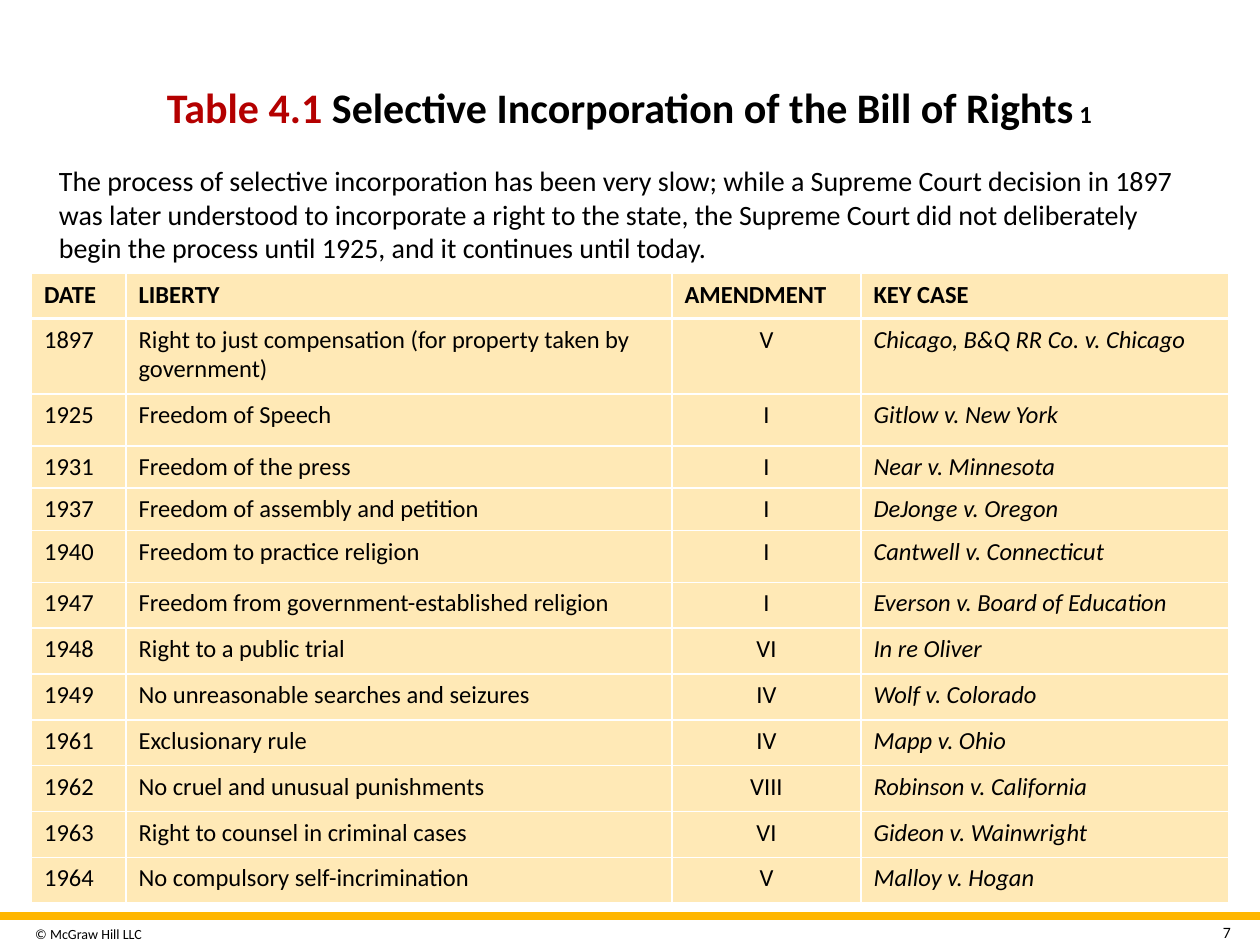
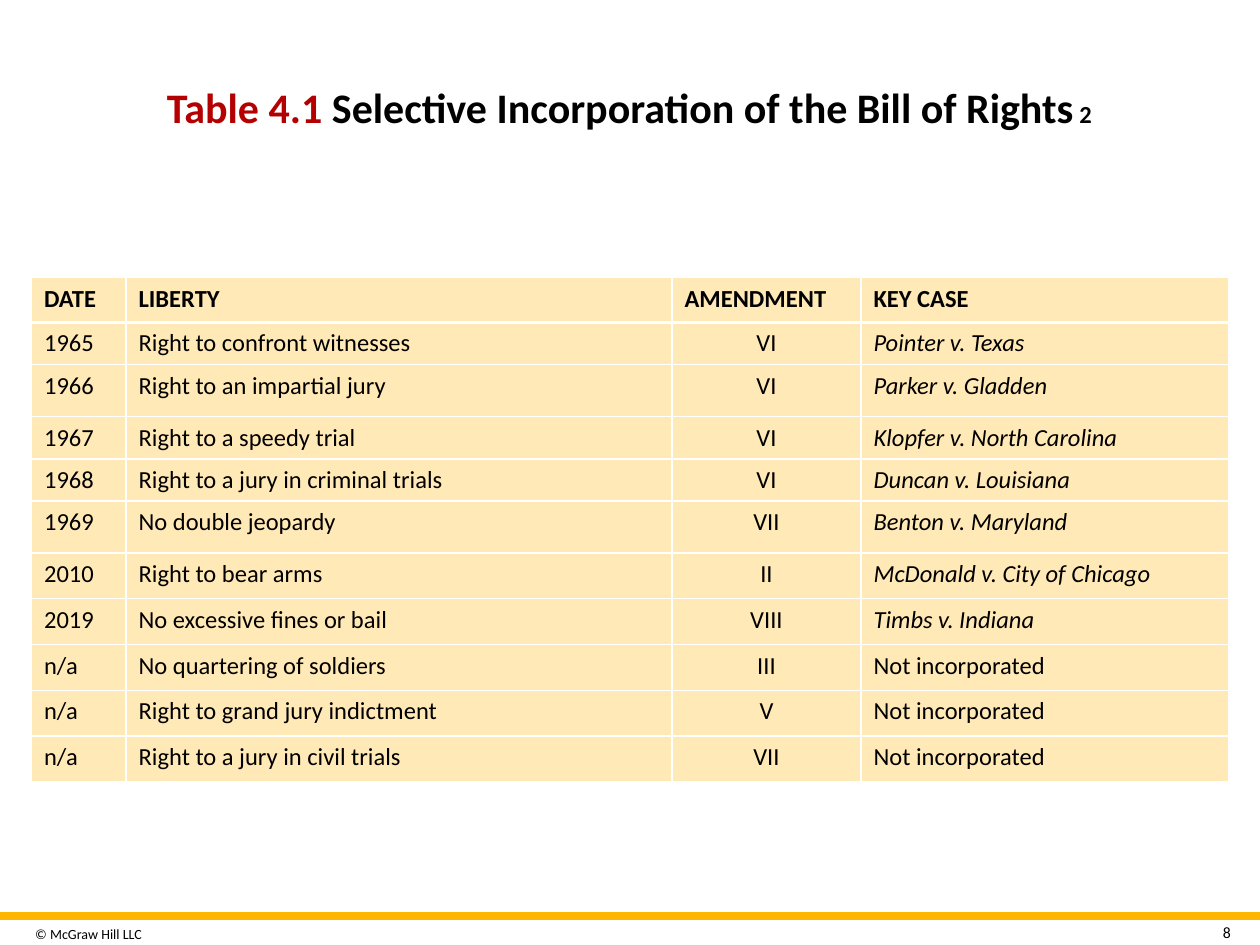
"""Build the two-slide table of the selective incorporation of the Bill of Rights."""
from pptx import Presentation
from pptx.dml.color import RGBColor
from pptx.enum import shapes, text
from pptx.oxml import parse_xml
from pptx.oxml import ns
from pptx.util import Pt

BLACK = RGBColor(0x00, 0x00, 0x00)
RED = RGBColor(0xB4, 0x00, 0x00)
GOLD = RGBColor(0xFF, 0xB6, 0x00)
CREAM = RGBColor(0xFF, 0xE9, 0xB6)
WHITE = RGBColor(0xFF, 0xFF, 0xFF)
FONT = "Calibri"
LEFT, CENTER, RIGHT = text.PP_ALIGN.LEFT, text.PP_ALIGN.CENTER, text.PP_ALIGN.RIGHT

SLIDE_SIZE = (720, 540)
TITLE_BOX = (26.6, 16, 666, 90)
INTRO_BOX = (26.6, 93.6, 666, 57.6)
FOOTER_BOX = (0, 521.2, 720, 18.8)
TABLE_LEFT = 18
COLUMN_WIDTHS = (54, 312, 108, 210)
HEADER_HEIGHT, TALL, SHORT, REGULAR = 25.6, 29.6, 24.2, 26.2
THIN_RULE, HEADER_RULE = 1, 2.25

HEADINGS = ("DATE", "LIBERTY", "AMENDMENT", "KEY CASE")
NOT_INCORPORATED = "Not incorporated"
INTRO = (
    "The process of selective incorporation has been very slow; while a Supreme Court "
    "decision in 1897 was later understood to incorporate a right to the state, the "
    "Supreme Court did not deliberately begin the process until 1925, and it continues "
    "until today."
)
LIBERTIES_TO_1964 = (
    ("1897", "Right to just compensation (for property taken by government)", "V",
     "Chicago, B&Q RR Co. v. Chicago"),
    ("1925", "Freedom of Speech", "I", "Gitlow v. New York"),
    ("1931", "Freedom of the press", "I", "Near v. Minnesota"),
    ("1937", "Freedom of assembly and petition", "I", "DeJonge v. Oregon"),
    ("1940", "Freedom to practice religion", "I", "Cantwell v. Connecticut"),
    ("1947", "Freedom from government-established religion", "I",
     "Everson v. Board of Education"),
    ("1948", "Right to a public trial", "VI", "In re Oliver"),
    ("1949", "No unreasonable searches and seizures", "IV", "Wolf v. Colorado"),
    ("1961", "Exclusionary rule", "IV", "Mapp v. Ohio"),
    ("1962", "No cruel and unusual punishments", "VIII", "Robinson v. California"),
    ("1963", "Right to counsel in criminal cases", "VI", "Gideon v. Wainwright"),
    ("1964", "No compulsory self-incrimination", "V", "Malloy v. Hogan"),
)
LIBERTIES_FROM_1965 = (
    ("1965", "Right to confront witnesses", "VI", "Pointer v. Texas"),
    ("1966", "Right to an impartial jury", "VI", "Parker v. Gladden"),
    ("1967", "Right to a speedy trial", "VI", "Klopfer v. North Carolina"),
    ("1968", "Right to a jury in criminal trials", "VI", "Duncan v. Louisiana"),
    ("1969", "No double jeopardy", "VII", "Benton v. Maryland"),
    ("2010", "Right to bear arms", "II", "McDonald v. City of Chicago"),
    ("2019", "No excessive fines or bail", "VIII", "Timbs v. Indiana"),
    ("n/a", "No quartering of soldiers", "III", NOT_INCORPORATED),
    ("n/a", "Right to grand jury indictment", "V", NOT_INCORPORATED),
    ("n/a", "Right to a jury in civil trials", "VII", NOT_INCORPORATED),
)


def write(paragraph, words, size=14, color=BLACK, bold=False, italic=False, align=LEFT):
    """Add one formatted run to a paragraph."""
    paragraph.alignment = align
    run = paragraph.add_run()
    run.text = words
    run.font.name = FONT
    run.font.size = Pt(size)
    run.font.bold = bold
    run.font.italic = italic
    run.font.color.rgb = color


def add_paragraph_box(slide, box, margins=(7.2, 3.6), anchor=text.MSO_ANCHOR.MIDDLE):
    """Add a wrapping text box and return its first paragraph."""
    frame = slide.shapes.add_textbox(*map(Pt, box)).text_frame
    frame.word_wrap = True
    frame.vertical_anchor = anchor
    frame.margin_left = frame.margin_right = Pt(margins[0])
    frame.margin_top = frame.margin_bottom = Pt(margins[1])
    return frame.paragraphs[0]


def add_footer(slide, box, page):
    """Place the gold band, copyright line and page number."""
    left, top, width, height = box
    band = slide.shapes.add_shape(
        shapes.MSO_SHAPE.RECTANGLE, Pt(left), Pt(top), Pt(width), Pt(4.4))
    band.shadow.inherit = False
    band.fill.solid()
    band.fill.fore_color.rgb = GOLD
    band.line.fill.background()
    copyright_line = add_paragraph_box(slide, (left + 17.2, top + 3.6, 97.2, 17.2), (2.9, 3.6))
    write(copyright_line, "© McGraw Hill LLC", size=8)
    page_number = add_paragraph_box(
        slide, (left + width - 41, top + 5.2, 28, 13), (3.6, 3.6))
    write(page_number, str(page), size=9, align=RIGHT)


def add_title(slide, box, part):
    """Place the title with its red label and small part number."""
    title = add_paragraph_box(slide, box)
    write(title, "Table 4.1 ", size=24, color=RED, bold=True, align=CENTER)
    write(title, "Selective Incorporation of the Bill of Rights", size=24, bold=True,
          align=CENTER)
    write(title, f" {part}", size=14, bold=True, align=CENTER)


def add_intro(slide, box):
    """Place the introductory paragraph."""
    intro = add_paragraph_box(slide, box, (7.2, 0), text.MSO_ANCHOR.TOP)
    intro.space_after = Pt(12)
    write(intro, INTRO, size=16)


def style_cell(cell, row):
    """Give a cell its white rules and cream fill."""
    rules = {
        "lnL": THIN_RULE,
        "lnR": THIN_RULE,
        "lnT": HEADER_RULE if row == 1 else THIN_RULE,
        "lnB": HEADER_RULE if row == 0 else THIN_RULE,
    }
    properties = cell._tc.get_or_add_tcPr()
    for side, weight in rules.items():
        properties.append(parse_xml(
            f'<a:{side} {ns.nsdecls("a")} w="{Pt(weight)}"><a:solidFill>'
            f'<a:srgbClr val="{WHITE}"/></a:solidFill></a:{side}>'))
    cell.fill.solid()
    cell.fill.fore_color.rgb = CREAM


def add_liberties(slide, left, top, liberties, first_height):
    """Place the table of liberties with its header row."""
    heights = [HEADER_HEIGHT, first_height, TALL, SHORT, SHORT, TALL]
    heights += [REGULAR] * (len(liberties) + 1 - len(heights))
    table = slide.shapes.add_table(
        len(heights), len(COLUMN_WIDTHS), Pt(left), Pt(top),
        Pt(sum(COLUMN_WIDTHS)), Pt(sum(heights))).table
    table.horz_banding = False
    for column, width in zip(table.columns, COLUMN_WIDTHS):
        column.width = Pt(width)
    for row, (height, entries) in enumerate(zip(heights, (HEADINGS, *liberties))):
        table.rows[row].height = Pt(height)
        for heading, entry, cell in zip(HEADINGS, entries, table.rows[row].cells):
            style_cell(cell, row)
            is_case = heading == "KEY CASE" and entry != NOT_INCORPORATED
            write(cell.text_frame.paragraphs[0], entry, bold=row == 0,
                  italic=row > 0 and is_case,
                  align=CENTER if row > 0 and heading == "AMENDMENT" else LEFT)


def add_table_slide(deck, part, page, top, liberties, first_height):
    """Add one slide with the shared title, table and footer."""
    slide = deck.slides.add_slide(deck.slide_layouts[6])
    add_footer(slide, FOOTER_BOX, page)
    add_title(slide, TITLE_BOX, part)
    add_liberties(slide, TABLE_LEFT, top, liberties, first_height)
    return slide


def main():
    """Build and save the deck."""
    deck = Presentation()
    deck.slide_width, deck.slide_height = map(Pt, SLIDE_SIZE)
    opening = add_table_slide(deck, 1, 7, 156.4, LIBERTIES_TO_1964, 43.2)
    add_intro(opening, INTRO_BOX)
    add_table_slide(deck, 2, 8, 158.6, LIBERTIES_FROM_1965, SHORT)
    deck.save("out.pptx")


if __name__ == "__main__":
    main()
